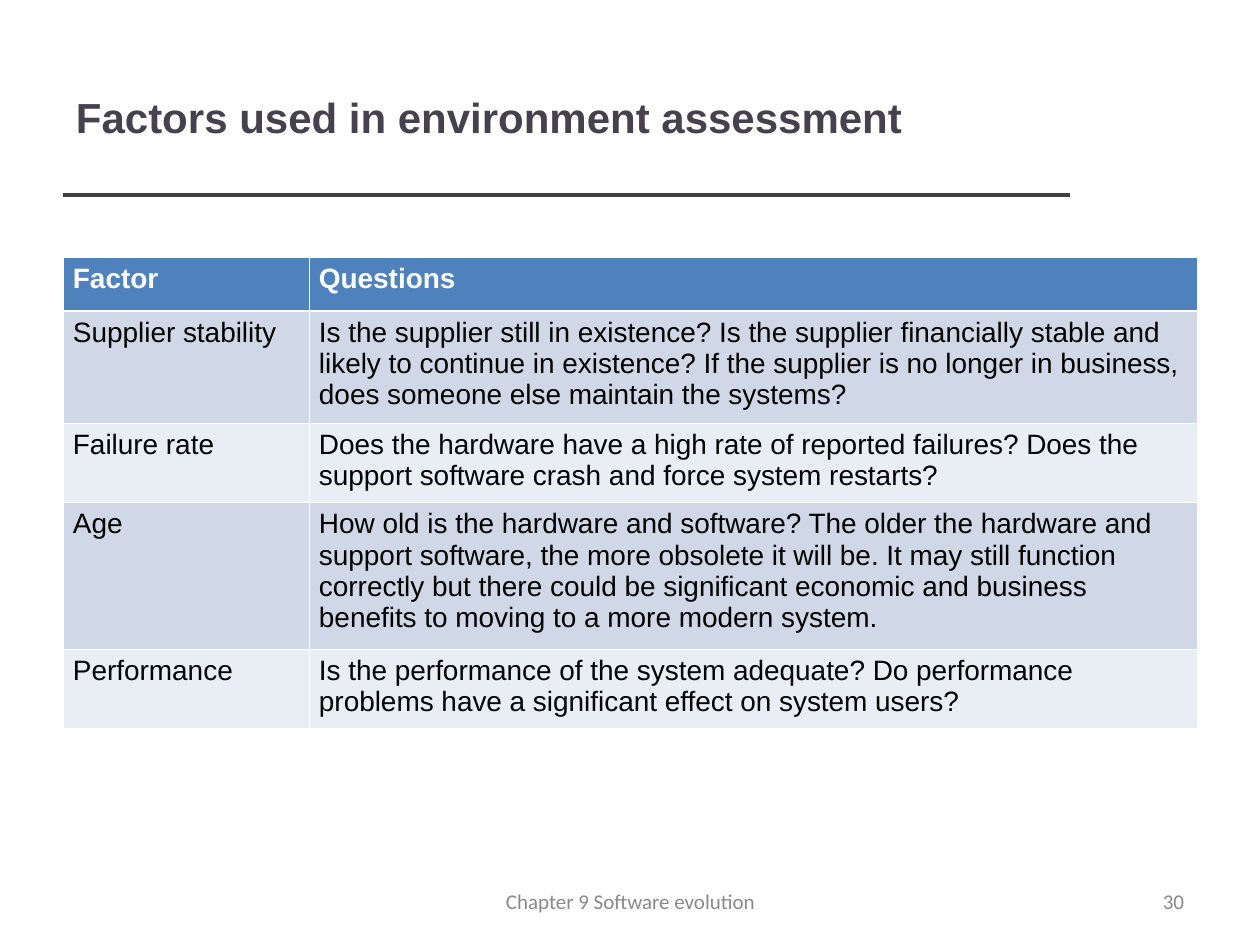
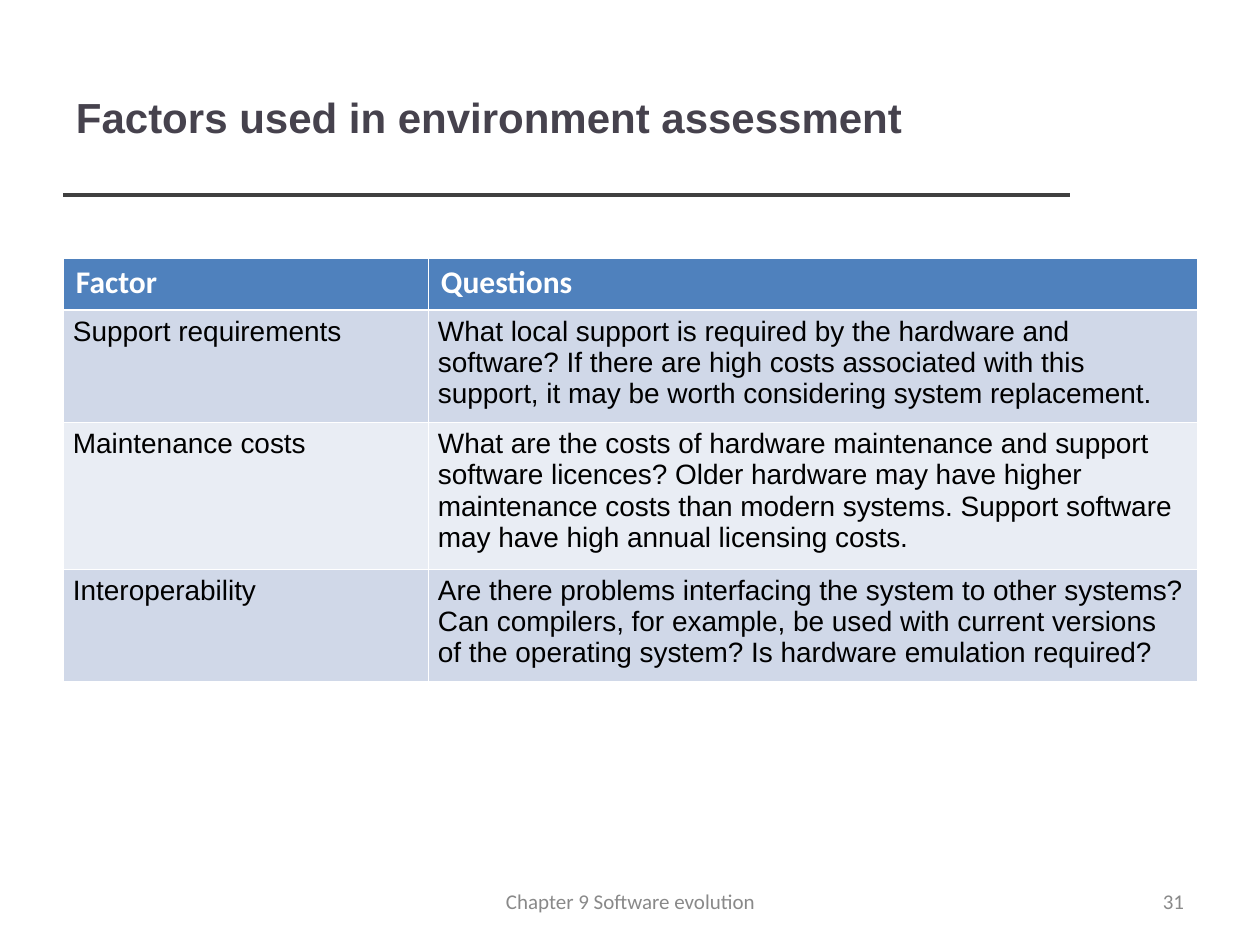
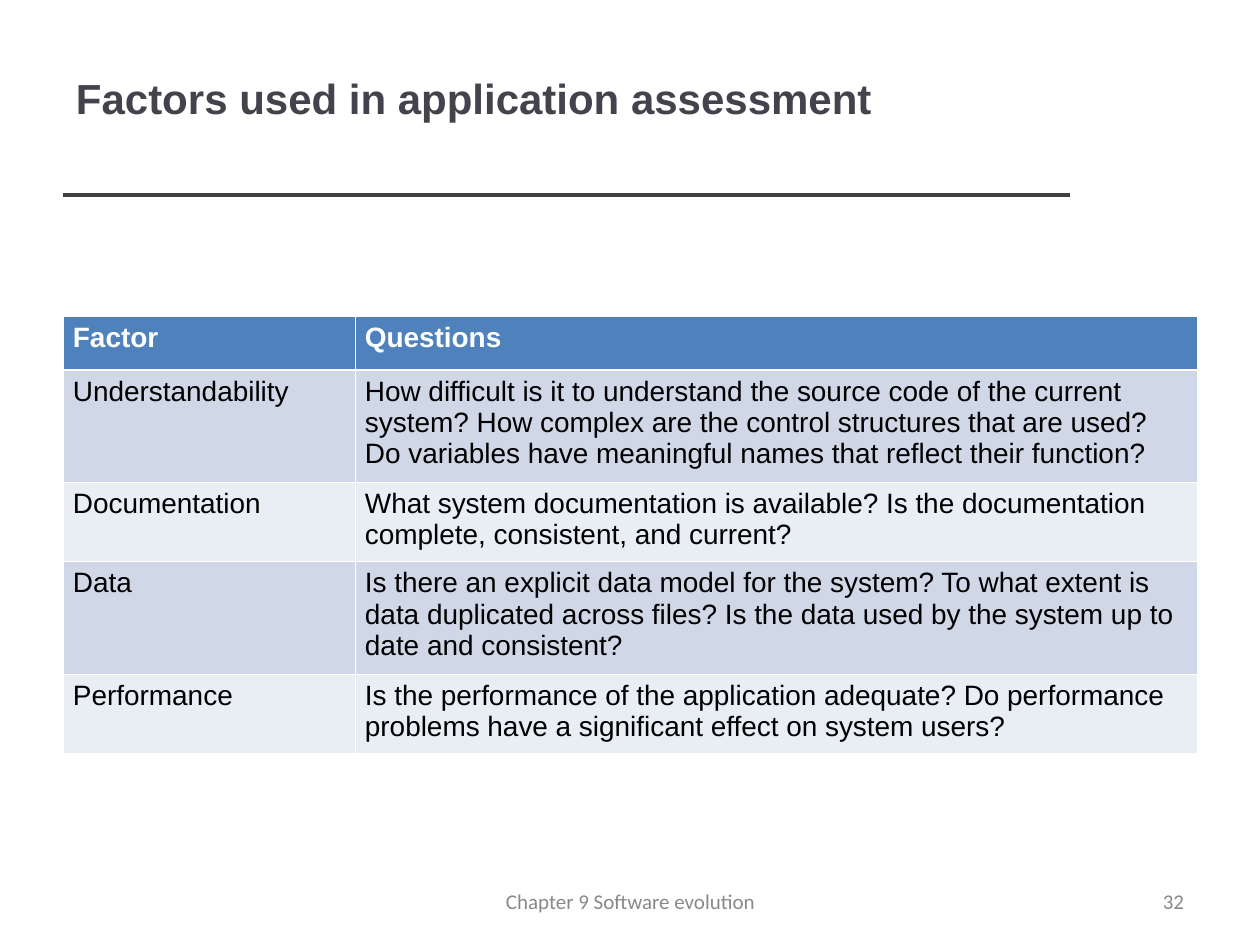
from lxml.etree import SubElement
from pptx import Presentation
from pptx.dml.color import RGBColor
from pptx.enum.shapes import MSO_CONNECTOR
from pptx.enum.text import MSO_ANCHOR, PP_ALIGN
from pptx.oxml.ns import qn
from pptx.util import Emu, Pt

PX_PER_INCH = 126
SLIDE_SIZE = (1260, 945)
LEFT = 63
TABLE_WIDTH = 1134
RULE_Y = 195
RULE_END = 1070
FOOTER_TOP, FOOTER_HEIGHT = 876, 50
FOOTER = "Chapter 9 Software evolution"
FIRST_NUMBER = 30
HEADINGS = ("Factor", "Questions")
THIN, THICK = 0.45, 1.47

COLORS = {
    "title": "46424D",
    "rule": "404040",
    "footer": "898989",
    "header": "4F81BD",
    "odd": "D0D8E8",
    "even": "E9EDF4",
    "border": "FFFFFF",
    "heading": "FFFFFF",
    "body": "000000",
}

BODY_STYLE = dict(font="Arial", size=16, inset=10, after=6)
CALIBRI_HEADING = dict(font="Calibri", size=18, inset=13, after=0)

# Each row: factor, questions, number of text lines
SLIDES = [
    dict(
        title="Factors used in environment assessment",
        title_box=(LEFT, 38, 1006, 158),
        table_top=257, factor_width=246, header_height=54,
        heading_style=BODY_STYLE,
        rows=[
            ("Supplier stability",
             "Is the supplier still in existence? Is the supplier financially stable "
             "and likely to continue in existence? If the supplier is no longer in "
             "business, does someone else maintain the systems?", 3),
            ("Failure rate",
             "Does the hardware have a high rate of reported failures? Does the "
             "support software crash and force system restarts?", 2),
            ("Age",
             "How old is the hardware and software? The older the hardware and "
             "support software, the more obsolete it will be. It may still function "
             "correctly but there could be significant economic and business "
             "benefits to moving to a more modern system.", 4),
            ("Performance",
             "Is the performance of the system adequate? Do performance problems "
             "have a significant effect on system users?", 2),
        ],
    ),
    dict(
        title="Factors used in environment assessment",
        title_box=(LEFT, 38, 1006, 158),
        table_top=258, factor_width=365, header_height=52,
        heading_style=CALIBRI_HEADING,
        rows=[
            ("Support requirements",
             "What local support is required by the hardware and software? If there "
             "are high costs associated with this support, it may be worth "
             "considering system replacement.", 3),
            ("Maintenance costs",
             "What are the costs of hardware maintenance and support software "
             "licences? Older hardware may have higher maintenance costs than "
             "modern systems. Support software may have high annual licensing "
             "costs.", 4),
            ("Interoperability",
             "Are there problems interfacing the system to other systems? Can "
             "compilers, for example, be used with current versions of the "
             "operating system? Is hardware emulation required?", 3),
        ],
    ),
    dict(
        title="Factors used in application assessment",
        title_box=(LEFT, 19, TABLE_WIDTH, 158),
        table_top=316, factor_width=292, header_height=54,
        heading_style=BODY_STYLE,
        rows=[
            ("Understandability",
             "How difficult is it to understand the source code of the current "
             "system? How complex are the control structures that are used? Do "
             "variables have meaningful names that reflect their function?", 3),
            ("Documentation",
             "What system documentation is available? Is the documentation "
             "complete, consistent, and current?", 2),
            ("Data",
             "Is there an explicit data model for the system? To what extent is "
             "data duplicated across files? Is the data used by the system up to "
             "date and consistent?", 3),
            ("Performance",
             "Is the performance of the application adequate? Do performance "
             "problems have a significant effect on system users?", 2),
        ],
    ),
]


def px(length):
    return Emu(round(length * 914400 / PX_PER_INCH))


def rgb(role):
    return RGBColor.from_string(COLORS[role])


def row_height(lines):
    return 34 * lines + 9


def write(frame, text, font, size, color, bold=False, align=PP_ALIGN.LEFT, after=0):
    frame.word_wrap = True
    frame.text = text
    paragraph = frame.paragraphs[0]
    paragraph.alignment = align
    paragraph.space_after = Pt(after)
    face = paragraph.runs[0].font
    face.name, face.size, face.bold = font, Pt(size), bold
    face.color.rgb = rgb(color)


def set_insets(holder, side, top=6):
    holder.margin_left = holder.margin_right = px(side)
    holder.margin_top = holder.margin_bottom = px(top)


def add_label(slide, box, text, **style):
    """Vertically centred text box."""
    frame = slide.shapes.add_textbox(*map(px, box)).text_frame
    set_insets(frame, 13)
    frame.vertical_anchor = MSO_ANCHOR.MIDDLE
    write(frame, text, **style)


def add_title_rule(slide):
    rule = slide.shapes.add_connector(
        MSO_CONNECTOR.STRAIGHT, px(LEFT), px(RULE_Y), px(RULE_END), px(RULE_Y))
    rule.line.color.rgb = rgb("rule")
    rule.line.width = Pt(2)
    SubElement(rule._element.spPr, qn("a:effectLst"))


def add_footer(slide, number):
    style = dict(font="Calibri", size=12, color="footer")
    add_label(slide, (903, FOOTER_TOP, 294, FOOTER_HEIGHT), str(number),
              align=PP_ALIGN.RIGHT, **style)
    add_label(slide, (431, FOOTER_TOP, 399, FOOTER_HEIGHT), FOOTER,
              align=PP_ALIGN.CENTER, **style)


def set_borders(cell, top, bottom):
    properties = cell._tc.get_or_add_tcPr()
    for side, width in (("L", THIN), ("R", THIN), ("T", top), ("B", bottom)):
        edge = SubElement(properties, qn(f"a:ln{side}"), w=str(Pt(width)))
        fill = SubElement(edge, qn("a:solidFill"))
        SubElement(fill, qn("a:srgbClr"), val=COLORS["border"])


def fill_cell(cell, text, row, style):
    header = row == 0
    set_borders(cell, top=THICK if row == 1 else THIN,
                bottom=THICK if header else THIN)
    cell.fill.solid()
    cell.fill.fore_color.rgb = rgb("header" if header else "odd" if row % 2 else "even")
    set_insets(cell, style["inset"])
    write(cell.text_frame, text, style["font"], style["size"],
          "heading" if header else "body", bold=header, after=style["after"])


def add_factor_table(slide, content):
    heights = [content["header_height"]]
    heights += [row_height(lines) for _, _, lines in content["rows"]]
    table = slide.shapes.add_table(
        len(heights), len(HEADINGS), px(LEFT), px(content["table_top"]),
        px(TABLE_WIDTH), px(sum(heights))).table
    table.horz_banding = False
    factor_width = content["factor_width"]
    for column, width in zip(table.columns, (factor_width, TABLE_WIDTH - factor_width)):
        column.width = px(width)
    entries = [HEADINGS] + [row[:2] for row in content["rows"]]
    for index, (entry, height) in enumerate(zip(entries, heights)):
        table.rows[index].height = px(height)
        style = BODY_STYLE if index else content["heading_style"]
        for cell, text in zip(table.rows[index].cells, entry):
            fill_cell(cell, text, index, style)


def main():
    deck = Presentation()
    deck.slide_width, deck.slide_height = map(px, SLIDE_SIZE)
    blank = deck.slide_layouts[6]
    for number, content in enumerate(SLIDES, FIRST_NUMBER):
        slide = deck.slides.add_slide(blank)
        add_title_rule(slide)
        add_label(slide, content["title_box"], content["title"],
                  font="Arial", size=24, color="title", bold=True)
        add_factor_table(slide, content)
        add_footer(slide, number)
    deck.save("out.pptx")


if __name__ == "__main__":
    main()
